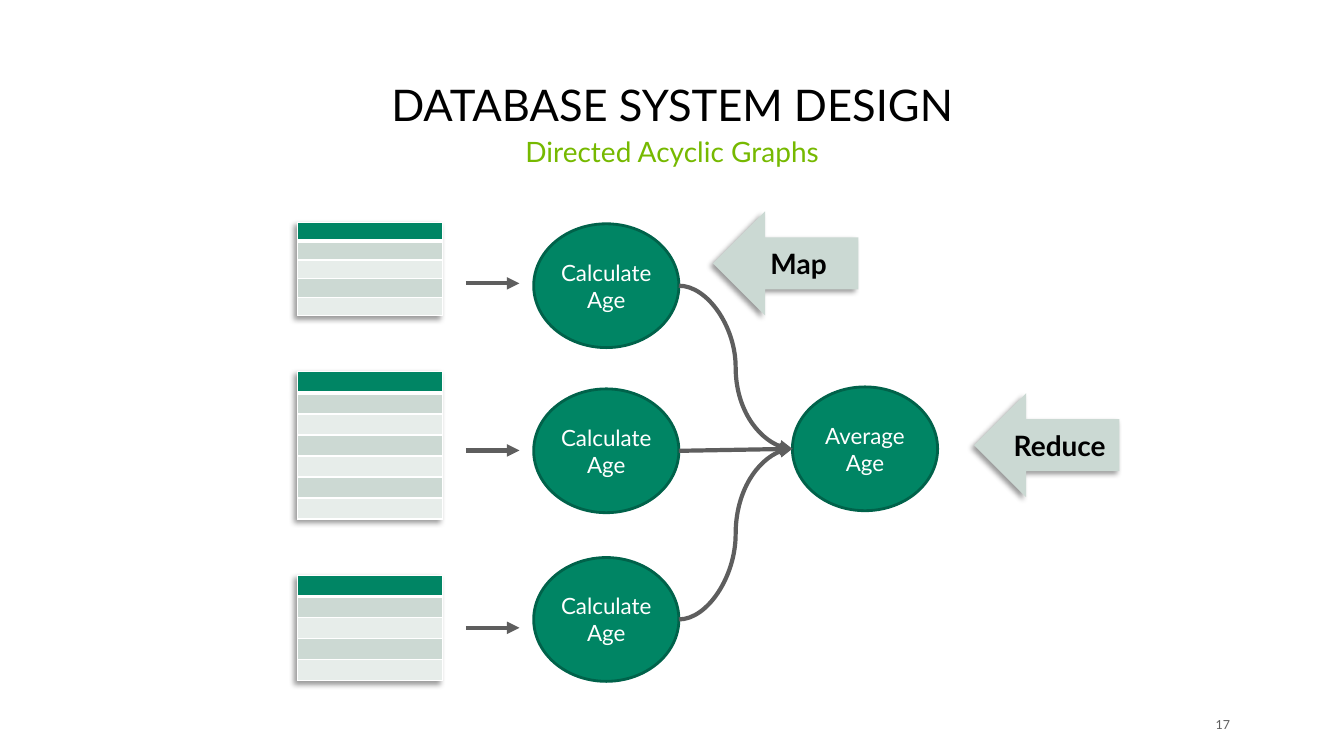
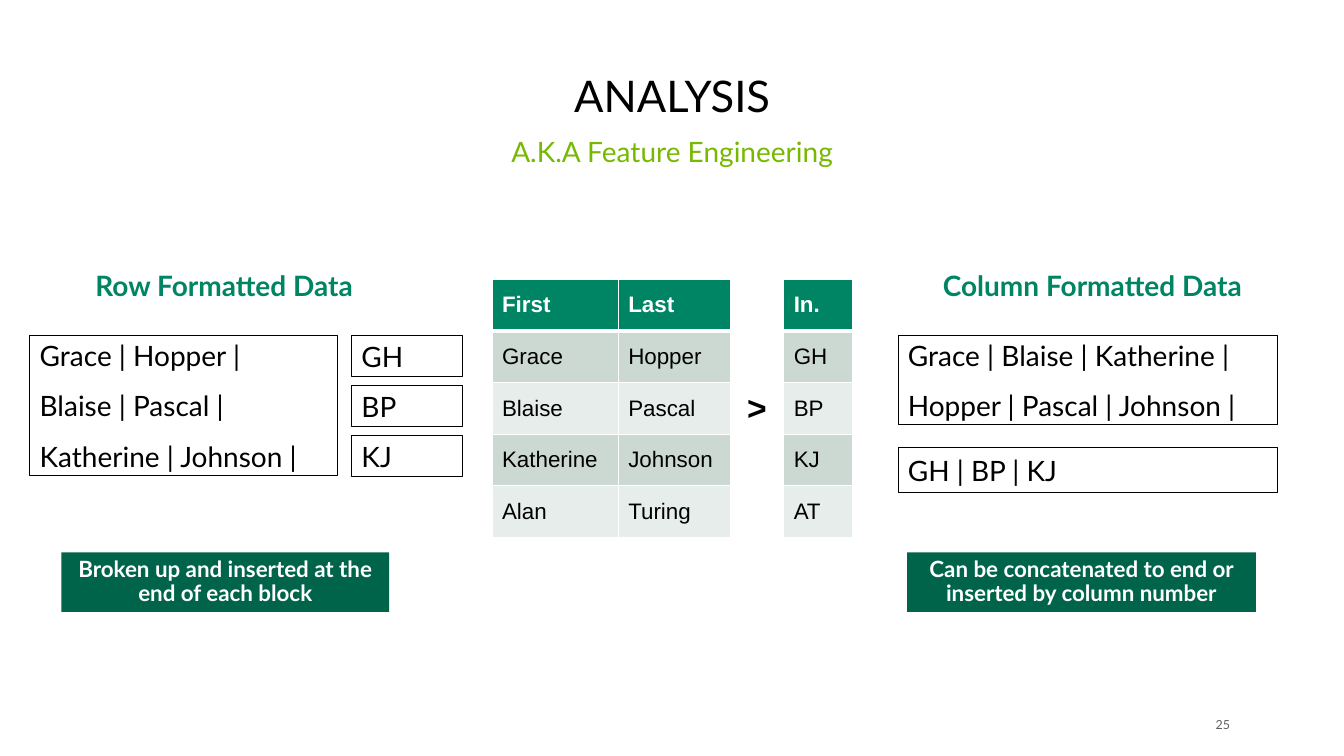
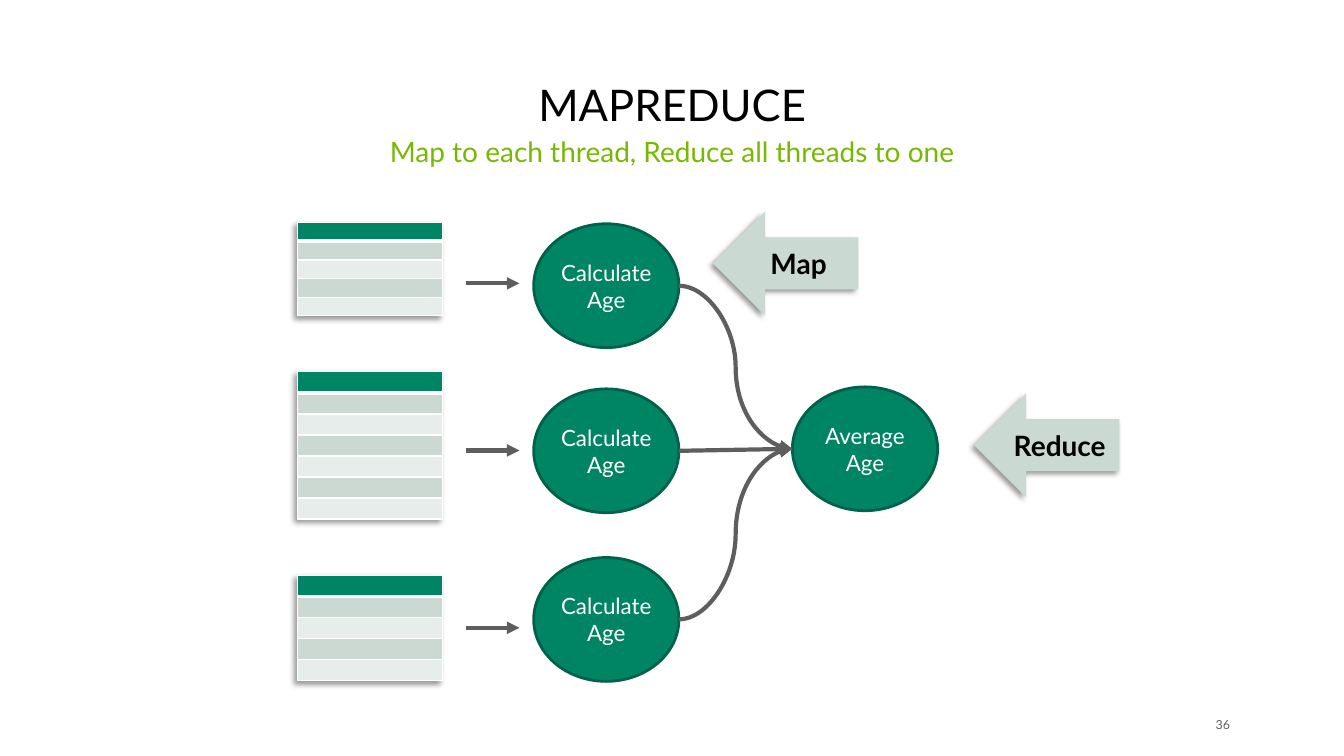
import pptx
import pptx.dml.color
import pptx.enum.shapes
import pptx.enum.text
import pptx.oxml.ns
import pptx.util
from lxml import etree

Cm, Pt = pptx.util.Cm, pptx.util.Pt
qn = pptx.oxml.ns.qn
SHAPE = pptx.enum.shapes.MSO_SHAPE
CONNECTOR = pptx.enum.shapes.MSO_CONNECTOR
ALIGN = pptx.enum.text.PP_ALIGN
ANCHOR = pptx.enum.text.MSO_ANCHOR

GREEN, DARK_GREEN, EDGE_GREEN, LIME = "008564", "00644B", "00624A", "76B900"
BAND_DARK, BAND_LIGHT, ARROW_FILL = "CCD9D3", "E7EDEA", "CBD9D3"
GRAY, BLACK, WHITE = "5E5E5E", "000000", "FFFFFF"


def rgb(color):
    return pptx.dml.color.RGBColor.from_string(color)


def lengths(*values):
    return [Cm(value) for value in values]


def write(frame, *lines, size=20, color=BLACK, bold=False, font="Lato",
          align=ALIGN.LEFT, anchor=ANCHOR.MIDDLE, spacing=1, next_spacing=1.5):
    """Fill a text frame or cell; lines after the first use next_spacing."""
    frame.vertical_anchor = anchor
    text_frame = getattr(frame, "text_frame", frame)
    text_frame.word_wrap = True
    for number, line in enumerate(lines):
        paragraph = text_frame.add_paragraph() if number else text_frame.paragraphs[0]
        paragraph.alignment = align
        paragraph.line_spacing = next_spacing if number else spacing
        paragraph.space_before = paragraph.space_after = Pt(0)
        run = paragraph.add_run()
        run.text = line
        run.font.name, run.font.size, run.font.bold = font, Pt(size), bold
        run.font.color.rgb = rgb(color)


def add_shadow(effects):
    shadow = etree.SubElement(effects, qn("a:outerShdw"), blurRad=str(Pt(4)),
                              dist=str(Pt(3)), dir=str(135 * 60000),
                              algn="tr", rotWithShape="0")
    tint = etree.SubElement(shadow, qn("a:srgbClr"), val=BLACK)
    etree.SubElement(tint, qn("a:alpha"), val="40000")


def add_figure(slide, kind, box, *lines, fill=None, line=None, line_width=0.5,
               shadow=False, side_margin=0.25, **text_format):
    figure = slide.shapes.add_shape(kind, *lengths(*box))
    figure.shadow.inherit = False
    if shadow:
        add_shadow(figure._element.spPr.find(qn("a:effectLst")))
    if fill:
        figure.fill.solid()
        figure.fill.fore_color.rgb = rgb(fill)
    else:
        figure.fill.background()
    if line:
        figure.line.color.rgb = rgb(line)
        figure.line.width = Pt(line_width)
    else:
        figure.line.fill.background()
    frame = figure.text_frame
    frame.margin_left = frame.margin_right = Cm(side_margin)
    write(frame, *lines, **text_format)


def add_arrow(slide, kind, x1, y1, x2, y2):
    arrow = slide.shapes.add_connector(kind, *lengths(x1, y1, x2, y2))
    arrow.line.color.rgb = rgb(GRAY)
    arrow.line.width = Pt(3)
    properties = arrow._element.spPr
    etree.SubElement(properties.find(qn("a:ln")), qn("a:tailEnd"), type="triangle")
    etree.SubElement(properties, qn("a:effectLst"))


def add_borders(cell, row):
    """White rules, thicker between the header and the first row."""
    for side in ("lnL", "lnR", "lnT", "lnB"):
        width = 3 if (row, side) in ((0, "lnB"), (1, "lnT")) else 1
        rule = etree.SubElement(cell._tc.get_or_add_tcPr(), qn(f"a:{side}"),
                                w=str(Pt(width)))
        paint = etree.SubElement(rule, qn("a:solidFill"))
        etree.SubElement(paint, qn("a:srgbClr"), val=WHITE)


def add_grid(slide, left, top, widths, row_height, row_count):
    """A banded green table without text."""
    frame = slide.shapes.add_table(
        row_count, len(widths),
        *lengths(left, top, sum(widths), row_height * row_count))
    table = frame.table
    for column, width in zip(table.columns, widths):
        column.width = Cm(width)
    for number, row in enumerate(table.rows):
        row.height = Cm(row_height)
        for cell in row.cells:
            add_borders(cell, number)
            cell.fill.solid()
            band = BAND_DARK if number % 2 else BAND_LIGHT
            cell.fill.fore_color.rgb = rgb(band if number else GREEN)
    return table


def add_mini_table(slide, left, top, width, row_height, row_count):
    table = add_grid(slide, left, top, [width], row_height, row_count)
    for cell in table.iter_cells():
        cell.margin_top = cell.margin_bottom = 0
        etree.SubElement(cell.text_frame.paragraphs[0]._p, qn("a:endParaRPr"), sz="500")
    effects = etree.Element(qn("a:effectLst"))
    add_shadow(effects)
    table._tbl.tblPr.insert(0, effects)


def new_slide(deck, title, subtitle, number, title_top=1.6):
    slide = deck.slides.add_slide(deck.slide_layouts[1])
    heading, tagline = slide.placeholders
    for part, top, height in ((heading, title_top, 1.83), (tagline, 3.35, 1.63)):
        part.left, part.top, part.width, part.height = lengths(1.55, top, 30.78, height)
        part.text_frame.auto_size = pptx.enum.text.MSO_AUTO_SIZE.NONE
    unbulleted = tagline.text_frame.paragraphs[0]._p.get_or_add_pPr()
    unbulleted.set("marL", "0")
    unbulleted.set("indent", "0")
    etree.SubElement(unbulleted, qn("a:buNone"))
    write(heading.text_frame, title, size=31.1, align=ALIGN.CENTER,
          anchor=ANCHOR.BOTTOM, spacing=0.9)
    write(tagline.text_frame, subtitle, color=LIME, align=ALIGN.CENTER,
          anchor=ANCHOR.TOP, spacing=0.9)
    page = slide.shapes.add_textbox(*lengths(30.1, 18, 0.9, 0.5)).text_frame
    page.margin_left = page.margin_right = page.margin_top = page.margin_bottom = 0
    write(page, number, size=8.9, color=GRAY, align=ALIGN.RIGHT)
    return slide


def add_map_reduce_graph(slide, left, top):
    width, node_height = 3.66, 3.12
    map_left, reduce_left, reduce_top = left + 5.95, left + 12.47, top + 4.42
    reduce_middle = reduce_top + node_height / 2

    def add_node(x, y, label):
        add_figure(slide, SHAPE.OVAL, (x, y, width, node_height), label,
                   fill=GREEN, line=EDGE_GREEN, line_width=2, side_margin=0,
                   size=16, color=WHITE, align=ALIGN.CENTER)

    # table top, row height, row count, input arrow, node top, link
    branches = (
        (0.28, 0.47, 5, 1.81, 0.31, CONNECTOR.CURVE),
        (4.04, 0.53, 7, 6.02, 4.47, CONNECTOR.STRAIGHT),
        (9.17, 0.53, 5, 10.49, 8.72, CONNECTOR.CURVE),
    )
    add_node(reduce_left, reduce_top, "Average Age")
    for table_top, row_height, row_count, arrow_y, node_top, link in branches:
        add_mini_table(slide, left, top + table_top, width, row_height, row_count)
        add_arrow(slide, CONNECTOR.STRAIGHT, left + 4.24, top + arrow_y,
                  left + 5.59, top + arrow_y)
        add_node(map_left, top + node_top, "Calculate Age")
        add_arrow(slide, link, map_left + width, top + node_top + node_height / 2,
                  reduce_left, reduce_middle)
    for x, y, step in ((10.47, 0, "Map"), (17.05, 4.58, "Reduce")):
        add_figure(slide, SHAPE.LEFT_ARROW, (left + x, top + y, width, 2.62), step,
                   fill=ARROW_FILL, shadow=True, bold=True, align=ALIGN.CENTER)


def add_names_table(slide, left, top):
    rows = (("First", "Last", ">", "In."),
            ("Grace", "Hopper", "", "GH"),
            ("Blaise", "Pascal", "", "BP"),
            ("Katherine", "Johnson", "", "KJ"),
            ("Alan", "Turing", "", "AT"))
    table = add_grid(slide, left, top, (3.18, 2.82, 1.35, 1.73), 1.3, len(rows))
    for r, row in enumerate(rows):
        for c, value in enumerate(row):
            cell = table.cell(r, c)
            if c == 2:
                cell.fill.background()
            if value == ">":
                write(cell, value, size=24, bold=True, font="Arial", align=ALIGN.CENTER)
            elif value:
                write(cell, value, size=16, bold=r == 0, font="Arial",
                      color=BLACK if r else WHITE)
    table.cell(0, 2).merge(table.cell(len(rows) - 1, 2))


def add_format_panel(slide, left, top, heading, blocks, note, note_x, note_width):
    """Heading, outlined data blocks and a note; blocks are (x, y, w, h, lines)."""
    label = slide.shapes.add_textbox(*lengths(left, top, 9.8, 1.02)).text_frame
    write(label, heading, color=GREEN, bold=True, align=ALIGN.CENTER, spacing=0.9)
    for x, y, width, height, lines in blocks:
        add_figure(slide, SHAPE.RECTANGLE, (left + x, top + y, width, height),
                   *lines, line=BLACK)
    add_figure(slide, SHAPE.RECTANGLE, (left + note_x, top + 7.19, note_width, 1.5),
               note, fill=DARK_GREEN, size=16, color=WHITE, bold=True,
               align=ALIGN.CENTER, spacing=0.9)


def add_analysis(slide, left, top):
    row_blocks = [(0, 1.73, 7.75, 3.53, ("Grace | Hopper |", "Blaise | Pascal |",
                                         "Katherine | Johnson |"))]
    row_blocks += [(8.11, 1.73 + 1.26 * i, 2.8, 1.02, (initials,))
                   for i, initials in enumerate(("GH", "BP", "KJ"))]
    column_blocks = [(0, 1.73, 9.55, 2.24, ("Grace | Blaise | Katherine |",
                                            "Hopper | Pascal | Johnson |")),
                     (0, 4.55, 9.55, 1.12, ("GH | BP | KJ",))]
    add_format_panel(slide, left, top, "Row Formatted Data", row_blocks,
                     "Broken up and inserted at the end of each block", 0.8, 8.26)
    add_names_table(slide, left + 11.65, top + 0.31)
    add_format_panel(slide, left + 21.88, top, "Column Formatted Data", column_blocks,
                     "Can be concatenated to end or inserted by column number",
                     0.23, 8.79)


def main():
    deck = pptx.Presentation()
    deck.slide_width, deck.slide_height = lengths(33.87, 19.05)
    design = new_slide(deck, "DATABASE SYSTEM DESIGN", "Directed Acyclic Graphs", "17")
    add_map_reduce_graph(design, 7.5, 5.33)
    analysis = new_slide(deck, "ANALYSIS", "A.K.A Feature Engineering", "25",
                         title_top=1.37)
    add_analysis(analysis, 0.75, 6.73)
    map_reduce = new_slide(deck, "MAPREDUCE",
                           "Map to each thread, Reduce all threads to one", "36")
    add_map_reduce_graph(map_reduce, 7.5, 5.33)
    deck.save("out.pptx")


if __name__ == "__main__":
    main()
